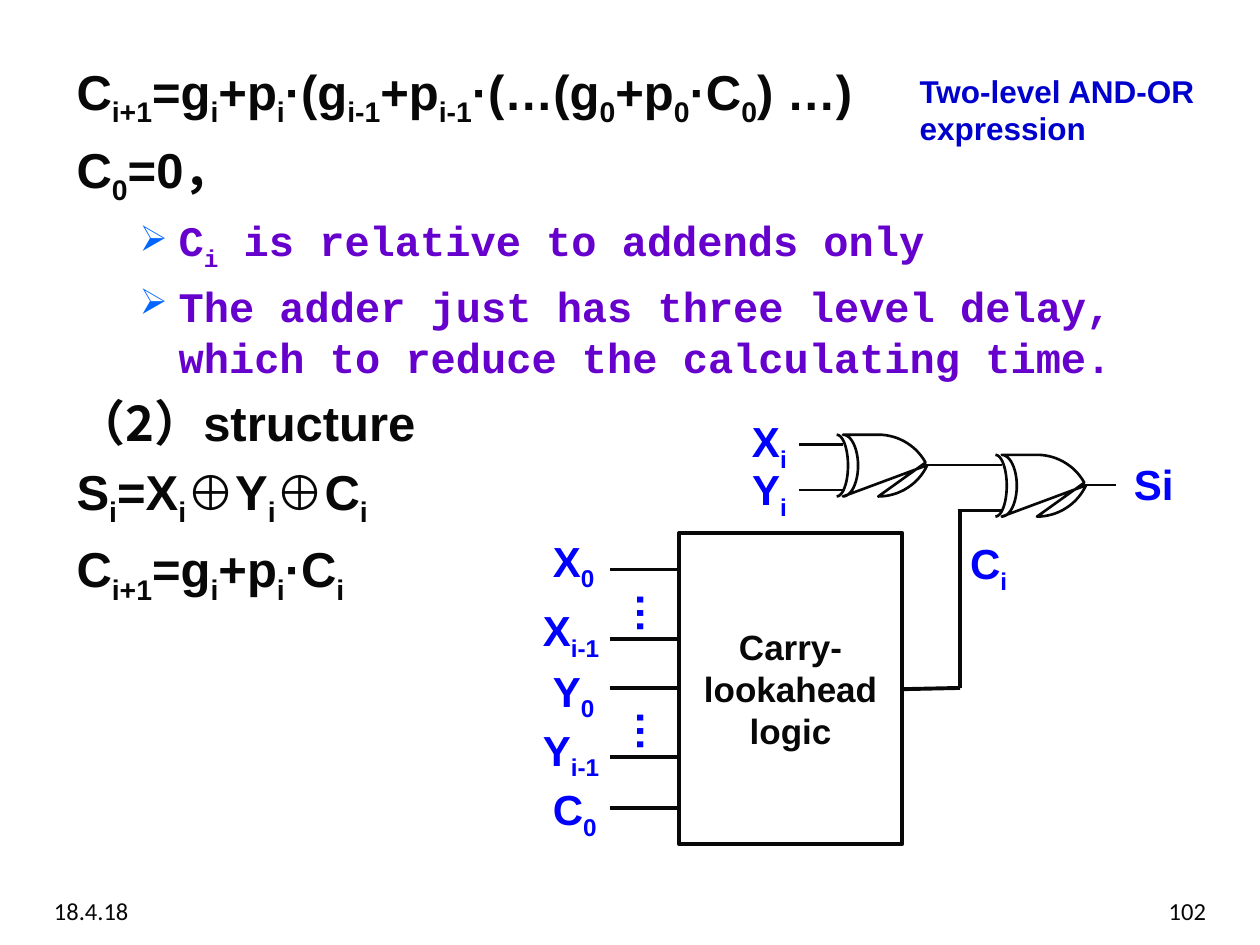
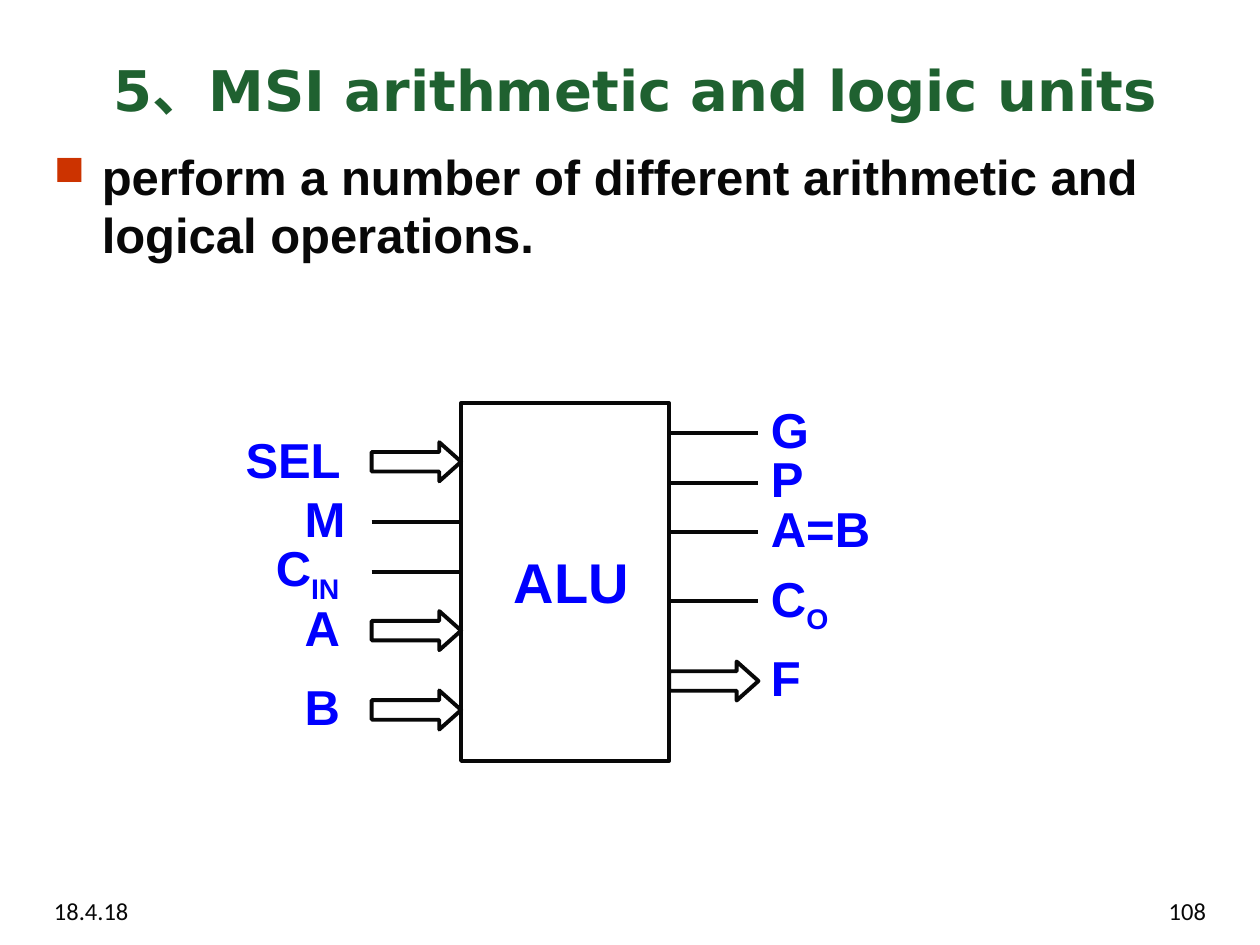
"""Builds two slides on carry-lookahead adders and arithmetic logic units."""
from dataclasses import dataclass
from math import cos, pi, radians, sin

from lxml.etree import SubElement
from pptx import Presentation
from pptx.dml.color import RGBColor
from pptx.enum.shapes import MSO_CONNECTOR, MSO_SHAPE
from pptx.enum.text import MSO_ANCHOR, MSO_AUTO_SIZE, PP_ALIGN
from pptx.oxml.ns import qn
from pptx.util import Pt

PX = 9144


@dataclass(frozen=True)
class Theme:
    ink: str = "080808"
    title: str = "1F6130"
    signal: str = "0000FF"
    remark: str = "0000CC"
    point: str = "6600CC"
    arrow_bullet: str = "0066FF"
    square_bullet: str = "CC3300"
    sans: str = "Arial"
    mono: str = "Courier New"
    cjk: str = "Noto Sans CJK SC"
    heading: str = "DejaVu Sans"
    footer: str = "Calibri"
    large: int = 32
    body: int = 28
    medium: int = 24
    block: int = 20
    small: int = 18
    tiny: int = 14
    thick: float = 2.25
    thin: float = 1.5


theme = Theme()


def write(paragraph, text, size, color, font=theme.sans, bold=True):
    """Append runs, where every second piece between bars is a subscript."""
    for order, piece in enumerate(text.split("|")):
        if not piece:
            continue
        run = paragraph.add_run()
        run.text = piece
        run.font.size = Pt(size)
        run.font.bold = bold
        run.font.name = font
        run.font.color.rgb = RGBColor.from_string(color)
        properties = run._r.get_or_add_rPr()
        SubElement(properties, qn("a:ea")).set("typeface", theme.cjk)
        if order % 2:
            properties.set("baseline", "-25000")


def add_frame(slide, left, top, width, height):
    """Add a wrapping text box and return its text frame."""
    frame = slide.shapes.add_textbox(left * PX, top * PX, width * PX, height * PX).text_frame
    frame.word_wrap = True
    return frame


deck = Presentation()
deck.slide_width = 1000 * PX
deck.slide_height = 750 * PX
adder = deck.slides.add_slide(deck.slide_layouts[6])
alu = deck.slides.add_slide(deck.slide_layouts[5])

for slide, number in ((adder, "102"), (alu, "108")):
    for left, text, align in ((33, "18.4.18", PP_ALIGN.LEFT), (717, number, PP_ALIGN.RIGHT)):
        footer = add_frame(slide, left, 706, 250, 29).paragraphs[0]
        footer.alignment = align
        write(footer, text, theme.tiny, theme.ink, theme.footer, False)

heading = alu.shapes.title
heading.left, heading.top, heading.width, heading.height = (v * PX for v in (56, 30, 897, 81))
heading.text_frame.auto_size = MSO_AUTO_SIZE.NONE
heading.text_frame.vertical_anchor = MSO_ANCHOR.MIDDLE
heading_line = heading.text_frame.paragraphs[0]
heading_line.alignment = PP_ALIGN.CENTER
write(heading_line, "5、MSI arithmetic and logic units", theme.large, theme.title, theme.heading)

formula = (theme.body, theme.ink, 38, 38, None, None)
point = (theme.medium, theme.point, 81, 31, "➢", theme.arrow_bullet)
topic = (theme.body, theme.ink, 38, 38, "■", theme.square_bullet)
sans, mono = theme.sans, theme.mono
bodies = (
    (adder, (51, 44, 900, 473), (
        (formula, (("C|i+1|=g|i|+p|i|·(g|i-1|+p|i-1|·(…(g|0|+p|0|·C|0|) …)", sans),)),
        (formula, (("C|0|=0，", sans),)),
        (point, (("C|i| is relative to addends only", mono),)),
        (point, (("The adder just has three level delay, which to reduce the calculating time.", mono),)),
        (formula, (("（", sans), ("2", theme.cjk), ("）structure", sans))),
        (formula, (("S|i|=X|i|⊕Y|i|⊕C|i", sans),)),
        (formula, (("C|i+1|=g|i|+p|i|·C|i", sans),)),
    )),
    (alu, (33, 111, 934, 556), (
        (topic, (("perform a number of different arithmetic and logical operations.", sans),)),
    )),
)
for slide, box, lines in bodies:
    frame = add_frame(slide, *box)
    for order, (style, spans) in enumerate(lines):
        size, color, margin, hanging, bullet, bullet_color = style
        paragraph = frame.add_paragraph() if order else frame.paragraphs[0]
        paragraph.space_before = Pt(round(size * 0.2))
        layout = paragraph._p.get_or_add_pPr()
        layout.set("marL", str(margin * PX))
        layout.set("indent", str(-hanging * PX))
        if bullet:
            paragraph.level = 1 if style is point else 0
            SubElement(SubElement(layout, qn("a:buClr")), qn("a:srgbClr")).set("val", bullet_color)
            SubElement(layout, qn("a:buSzPct")).set("val", "85000")
            SubElement(layout, qn("a:buChar")).set("char", bullet)
        for text, font in spans:
            write(paragraph, text, size, color, font)

remark = add_frame(adder, 720, 52, 252, 70).paragraphs[0]
write(remark, "Two-level AND-OR expression", theme.small, theme.remark)

signals = (
    (adder, theme.medium, 50, (
        ("X|0", 429, 420, 63), ("X|i-1", 421, 475, 71), ("Y|0", 429, 523, 55),
        ("Y|i-1", 421, 570, 71), ("C|0", 429, 617, 63), ("X|i", 587, 325, 63),
        ("Y|i", 587, 363, 55), ("C|i", 760, 422, 55), ("Si", 890, 359, 55),
    )),
    (alu, theme.body, 57, (
        ("SEL", 185, 336, 118), ("M", 232, 383, 63), ("C|IN", 209, 422, 79),
        ("A", 232, 469, 63), ("B", 232, 532, 63), ("G", 602, 312, 79),
        ("P", 602, 351, 79), ("A=B", 602, 391, 110), ("C|O", 602, 446, 79),
        ("F", 602, 509, 63),
    )),
    (alu, theme.large, 63, (("ALU", 398, 430, 126),)),
)
for slide, size, height, labels in signals:
    for text, left, top, width in labels:
        write(add_frame(slide, left, top, width, height).paragraphs[0], text, size, theme.signal)

for top in (460, 554):
    ellipsis = add_frame(adder, 484, top, 60, 39)
    ellipsis._txBody.bodyPr.set("vert", "eaVert")
    write(ellipsis.paragraphs[0], "…", theme.medium, theme.signal)

outlines = []
logic = adder.shapes.add_shape(MSO_SHAPE.RECTANGLE, 539 * PX, 423 * PX, 177 * PX, 247 * PX)
logic.text_frame.word_wrap = True
logic.text_frame.vertical_anchor = MSO_ANCHOR.MIDDLE
logic_name = logic.text_frame.paragraphs[0]
logic_name.alignment = PP_ALIGN.CENTER
write(logic_name, "Carry-lookahead logic", theme.block, theme.ink)
unit = alu.shapes.add_shape(MSO_SHAPE.RECTANGLE, 366 * PX, 320 * PX, 165 * PX, 284 * PX)
outlines += [(logic, theme.thick), (unit, theme.thick)]
for left, top in ((295, 351), (295, 485), (295, 548), (531, 525)):
    bus = alu.shapes.add_shape(MSO_SHAPE.RIGHT_ARROW, left * PX, top * PX, 71 * PX, 31 * PX)
    bus.adjustments[0], bus.adjustments[1] = 0.5, 0.56
    outlines.append((bus, theme.thick))

wires = [(adder, 484, y, 539, y, theme.thick) for y in (452, 507, 546, 601, 641)]
wires += [(adder, 716, 547, 762, 546, theme.thick), (adder, 762, 546, 762, 405, theme.thick)]
wires += [(alu, 295, y, 366, y, theme.thick) for y in (414, 454)]
wires += [(alu, 531, y, 602, y, theme.thick) for y in (344, 383, 422, 477)]

gate_height, nose_radius = 49, 43
half = gate_height / 2
turns = [pi * step / 24 for step in range(25)]
bends = [radians(65 * step / 16) for step in range(17)]
for x, y in ((664, 345), (790, 361)):
    wires += [(adder, x - 30, y + drop, x + 5, y + drop, theme.thin) for drop in (8, 44)]
    wires.append((adder, x + 72, y + 24, x + 96, y + 24, theme.thin))
    back = [(x + 9 * sin(t), y + half - half * cos(t)) for t in turns]
    front = [(x + 5 + 12 * sin(t), y + half - half * cos(t)) for t in turns]
    upper = [(x + 33 + nose_radius * sin(b), y + nose_radius * (1 - cos(b))) for b in bends]
    lower = [(px, 2 * y + gate_height - py) for px, py in reversed(upper)]
    for points, closed in ((back, False), (front + lower + upper[::-1][1:], True)):
        corners = [(px * PX, py * PX) for px, py in points]
        builder = adder.shapes.build_freeform(*corners[0])
        builder.add_line_segments(corners[1:], close=closed)
        outlines.append((builder.convert_to_shape(), theme.thin))

for outline, weight in outlines:
    outline.shadow.inherit = False
    outline.fill.background()
    outline.line.color.rgb = RGBColor.from_string(theme.ink)
    outline.line.width = Pt(weight)

for slide, x1, y1, x2, y2, weight in wires:
    wire = slide.shapes.add_connector(MSO_CONNECTOR.STRAIGHT, x1 * PX, y1 * PX, x2 * PX, y2 * PX)
    wire.line.color.rgb = RGBColor.from_string(theme.ink)
    wire.line.width = Pt(weight)
    SubElement(wire._element.spPr, qn("a:effectLst"))

deck.save("out.pptx")
